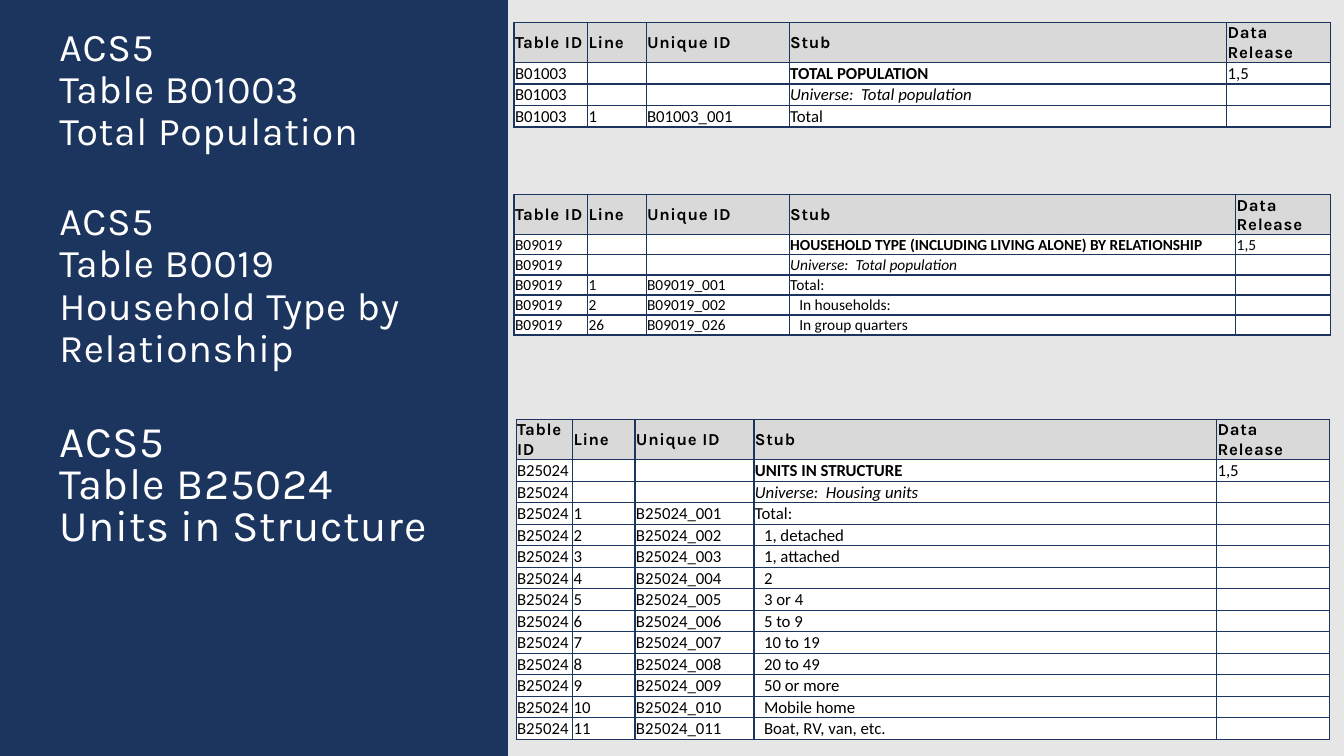
from lxml import etree
from pptx import Presentation
from pptx.dml.color import RGBColor
from pptx.enum import shapes, text
from pptx.oxml import ns
from pptx.util import Pt

NAVY = RGBColor(0x1C, 0x35, 0x5E)
PALE_GREY = RGBColor(0xE7, 0xE6, 0xE6)
HEADER_GREY = RGBColor(0xD9, 0xD9, 0xD9)
WHITE = RGBColor(0xFF, 0xFF, 0xFF)
BLACK = RGBColor(0, 0, 0)

HEADINGS = ["Table ID", "Line", "Unique ID", "Stub", "Data Release"]
POPULATION = [(1, "Total")]
RELATIONSHIP = [(1, "Total:"), (2, "In households:"), (26, "In group quarters")]
UNITS = list(enumerate(
    ["Total:", "1, detached", "1, attached", "2", "3 or 4", "5 to 9", "10 to 19",
     "20 to 49", "50 or more", "Mobile home", "Boat, RV, van, etc."], 1))


def add_panel(slide):
    """Draw the navy panel behind the captions."""
    panel = slide.shapes.add_shape(shapes.MSO_SHAPE.RECTANGLE, 0, 0, Pt(362.88), Pt(540))
    panel.shadow.inherit = False
    panel.fill.solid()
    panel.fill.fore_color.rgb = NAVY
    panel.line.fill.background()
    slide.shapes._spTree.insert(2, panel._element)


def write_run(paragraph, words, size, font, color, bold=False, italic=False, spacing=0):
    """Add one formatted run, with letter spacing in hundredths of a point."""
    run = paragraph.add_run()
    run.text = words
    run.font.size = Pt(size)
    run.font.name = font
    run.font.color.rgb = color
    run.font.bold = bold
    run.font.italic = italic
    if spacing:
        run.font._element.set("spc", str(spacing))


def write_caption(caption, top, height, lines, size=28, line_spacing=0.9):
    """Place a caption on the panel and write its lines."""
    caption.left, caption.top = Pt(35.28), Pt(top)
    caption.width, caption.height = Pt(313.92), Pt(height)
    frame = caption.text_frame
    frame.word_wrap = True
    frame.auto_size = text.MSO_AUTO_SIZE.NONE
    frame.vertical_anchor = text.MSO_ANCHOR.TOP
    paragraph = frame.paragraphs[0]
    paragraph.alignment = text.PP_ALIGN.LEFT
    paragraph.line_spacing = line_spacing
    for index, line in enumerate(lines):
        if index:
            paragraph.add_line_break()
        write_run(paragraph, line, size, "Karla", WHITE, spacing=50)


def border_cell(cell):
    """Give a cell navy one-point borders on all sides."""
    properties = cell._tc.get_or_add_tcPr()
    for index, side in enumerate(("lnL", "lnR", "lnT", "lnB")):
        border = etree.Element(ns.qn(f"a:{side}"), w=str(Pt(1)))
        fill = etree.SubElement(border, ns.qn("a:solidFill"))
        etree.SubElement(fill, ns.qn("a:srgbClr"), val=str(NAVY))
        properties.insert(index, border)


def write_cell(cell, words, size, header=False, indented=False, bold=False, italic=False):
    """Fill, border and write one table cell."""
    cell.fill.solid()
    cell.fill.fore_color.rgb = HEADER_GREY if header else WHITE
    border_cell(cell)
    cell.margin_left = Pt(7.2 if indented else 0.72)
    cell.margin_top = cell.margin_right = Pt(0.72)
    cell.margin_bottom = 0
    cell.vertical_anchor = text.MSO_ANCHOR.MIDDLE if header else text.MSO_ANCHOR.BOTTOM
    paragraph = cell.text_frame.paragraphs[0]
    if header:
        write_run(paragraph, words, 12, "Karla", BLACK, bold=True, spacing=50)
    elif words:
        write_run(paragraph, words, size, "Calibri", BLACK, bold, italic)
    else:
        etree.SubElement(paragraph._p, ns.qn("a:endParaRPr"), sz=str(size * 100))


def add_listing(slide, place, widths, table_id, subject, universe, entries, size=12):
    """Add a census table listing from its subject, universe and numbered entries."""
    rows = [HEADINGS,
            [table_id, "", "", subject, "1,5"],
            [table_id, "", "", f"Universe:  {universe}", ""]]
    rows += [[table_id, str(line), f"{table_id}_{line:03}", stub, ""] for line, stub in entries]
    left, top, height = place
    listing = slide.shapes.add_table(len(rows), len(widths), Pt(left), Pt(top),
                                     Pt(sum(widths)), Pt(height)).table
    listing.horz_banding = False
    for column, width in zip(listing.columns, widths):
        column.width = Pt(width)
    for r, row in enumerate(rows):
        listing.rows[r].height = Pt(10.08)
        for c, words in enumerate(row):
            stub = c == 3
            write_cell(listing.cell(r, c), words, size, header=r == 0,
                       indented=stub and r > 3, bold=stub and r == 1, italic=stub and r == 2)


def main():
    """Build the slide and save it."""
    deck = Presentation()
    deck.slide_width, deck.slide_height = Pt(960), Pt(540)
    slide = deck.slides.add_slide(deck.slide_layouts[5])
    slide.background.fill.solid()
    slide.background.fill.fore_color.rgb = PALE_GREY
    add_panel(slide)
    write_caption(slide.shapes.title, 15.84, 104.4,
                  ["ACS5", "Table B01003", "Total Population"])
    add_listing(slide, (367.2, 15.84, 59.76), [52.56, 41.76, 102.24, 312.48, 74.16],
                "B01003", "TOTAL POPULATION", "Total population", POPULATION)
    add_listing(slide, (367.2, 138.96, 98.64), [52.56, 41.76, 102.24, 318.96, 67.68],
                "B09019", "HOUSEHOLD TYPE (INCLUDING LIVING ALONE) BY RELATIONSHIP",
                "Total population", RELATIONSHIP, size=11)
    write_caption(slide.shapes.add_textbox(0, 0, 0, 0), 140.4, 138.96,
                  ["ACS5", "Table B0019", "Household Type by Relationship"])
    add_listing(slide, (368.64, 299.52, 224.64), [40.32, 44.64, 84.96, 330.48, 80.64],
                "B25024", "UNITS IN STRUCTURE", "Housing units", UNITS)
    write_caption(slide.shapes.add_textbox(0, 0, 0, 0), 299.52, 104.4,
                  ["ACS5", "Table B25024", "Units in Structure"], size=31.2, line_spacing=0.8)
    deck.save("out.pptx")


if __name__ == "__main__":
    main()
